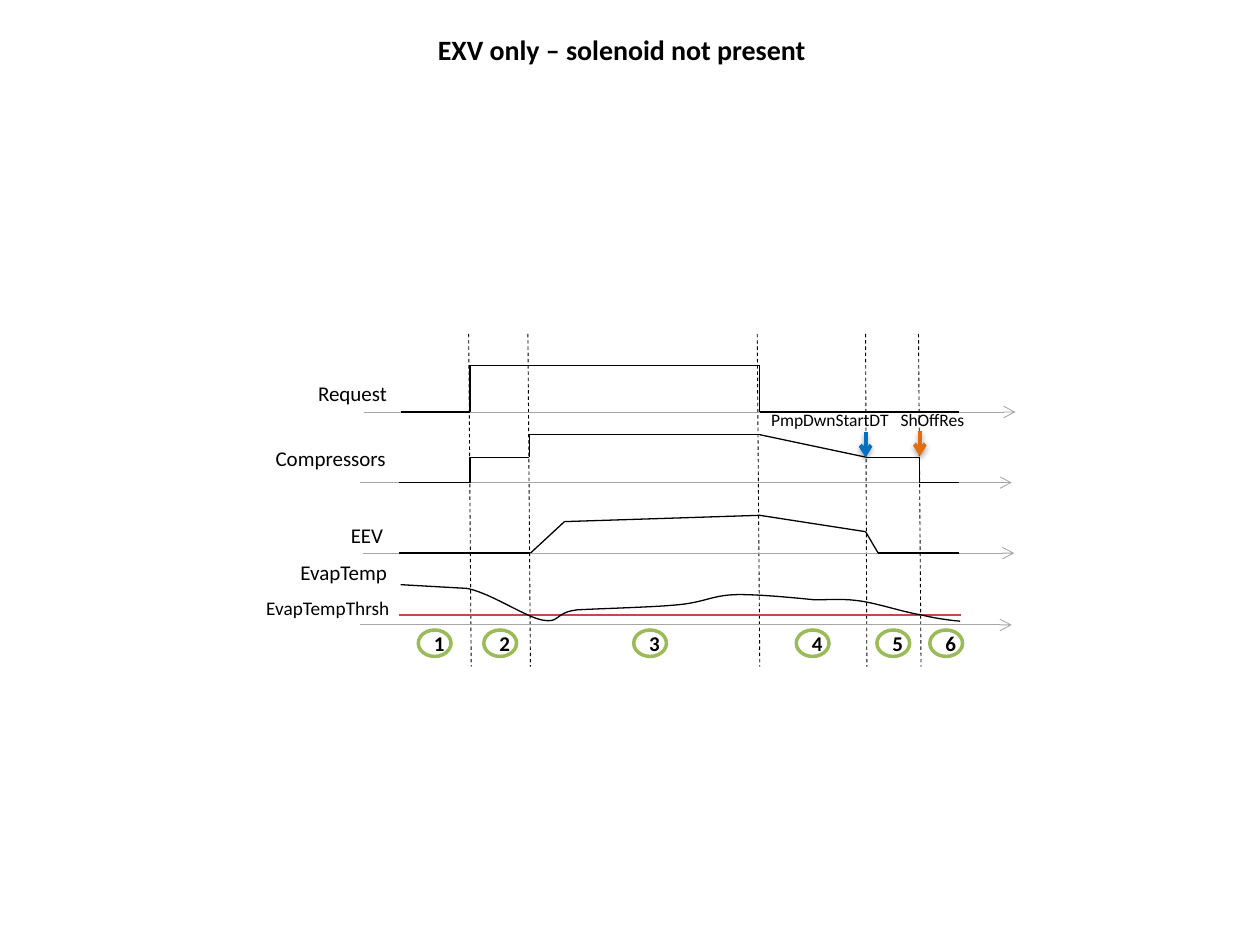
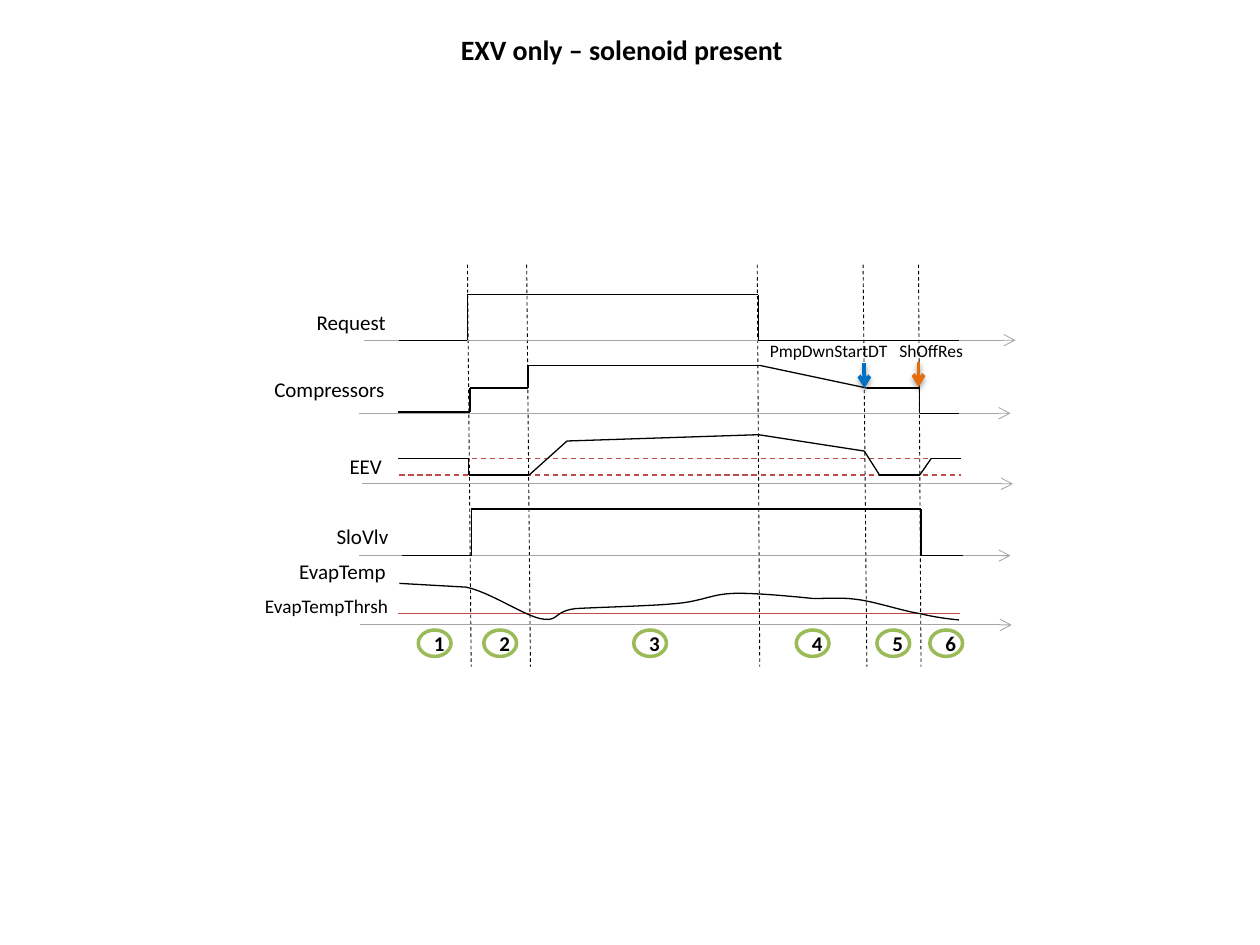
"""Build two timing diagrams of expansion valve control, without and with a solenoid."""
import dataclasses
import itertools

import lxml.etree
import pptx
import pptx.dml.color
import pptx.enum.dml
import pptx.enum.shapes
import pptx.enum.text
import pptx.oxml.ns
import pptx.util

Inches = pptx.util.Inches
Pt = pptx.util.Pt
RGB = pptx.dml.color.RGBColor.from_string
ALIGN = pptx.enum.text.PP_ALIGN
qn = pptx.oxml.ns.qn


@dataclasses.dataclass(frozen=True)
class Theme:
    font: str = "Calibri"
    ink: str = "000000"
    axis: str = "A6A6A6"
    limit: str = "BF4C48"
    badge: str = "9BBB59"
    paper: str = "FFFFFF"
    pump_down: str = "0070C0"
    shut_off: str = "E46C0A"
    title_size: float = 16
    label_size: float = 12
    limit_size: float = 11
    event_size: float = 10
    thin: float = 0.5
    trace: float = 0.75
    ring: float = 2
    arrow: float = 2.25


theme = Theme()


def add_line(s, start, end, color, width, dash=False, arrow=False, shadow=False):
    c = s.shapes.add_connector(pptx.enum.shapes.MSO_CONNECTOR.STRAIGHT,
                               *(Inches(v) for v in (*start, *end)))
    c.line.color.rgb = RGB(color)
    c.line.width = Pt(width)
    if dash:
        c.line.dash_style = pptx.enum.dml.MSO_LINE.DASH
    sppr = c._element.spPr
    if arrow:
        lxml.etree.SubElement(sppr.find(qn("a:ln")), qn("a:tailEnd"), type="arrow")
    effects = lxml.etree.SubElement(sppr, qn("a:effectLst"))
    if shadow:
        outer = lxml.etree.SubElement(effects, qn("a:outerShdw"), blurRad=str(Pt(3.1)),
                                      dist=str(Pt(1.8)), dir="5400000", rotWithShape="0")
        shade = lxml.etree.SubElement(outer, qn("a:srgbClr"), val=theme.ink)
        lxml.etree.SubElement(shade, qn("a:alpha"), val="35000")


def add_run(tf, text, size, align, bold=False):
    p = tf.paragraphs[0]
    p.alignment = align
    r = p.add_run()
    r.text = text
    r.font.name = theme.font
    r.font.size = Pt(size)
    r.font.bold = bold
    r.font.color.rgb = RGB(theme.ink)


divider_feet = [3.74, 4.21, 6.03, 6.88, 7.31]
divider_bottom = 5.29
axis_length = 5.17
badge_lefts = [3.32, 3.84, 5.03, 6.32, 6.96, 7.38]

label_boxes = {
    "Request": (2.34, 0.83, 0.3, theme.label_size),
    "Compressors": (2.07, 1.09, 0.3, theme.label_size),
    "EEV": (2.31, 0.83, 0.3, theme.label_size),
    "SloVlv": (1.94, 1.25, 0.3, theme.label_size),
    "EvapTemp": (1.92, 1.25, 0.3, theme.label_size),
    "EvapTempThrsh": (1.84, 1.35, 0.29, theme.limit_size),
    "PmpDwnStartDT": (5.95, 1.2, 0.28, theme.event_size),
    "ShOffRes": (6.98, 0.77, 0.28, theme.event_size),
}

temp_start = [(3.18, 4.64), (3.71, 4.67)]
temp_curves = [
    [(3.9, 4.71), (4.16, 4.89), (4.3, 4.92)],
    [(4.45, 4.95), (4.4, 4.86), (4.58, 4.84)],
    [(4.76, 4.83), (5.17, 4.82), (5.38, 4.8)],
    [(5.59, 4.78), (5.64, 4.73), (5.82, 4.72)],
    [(6, 4.71), (6.46, 4.76), (6.46, 4.76)],
    [(6.62, 4.76), (6.69, 4.75), (6.83, 4.77)],
    [(6.97, 4.79), (7.18, 4.86), (7.31, 4.88)],
    [(7.44, 4.91), (7.52, 4.92), (7.62, 4.93)],
]
curve_steps = 12
temp_points = list(temp_start)
for b, c, d in temp_curves:
    a = temp_points[-1]
    for t in (i / curve_steps for i in range(1, curve_steps + 1)):
        u = 1 - t
        temp_points.append(tuple(
            u**3 * a[k] + 3 * u * u * t * b[k] + 3 * u * t * t * c[k] + t**3 * d[k]
            for k in (0, 1)))

diagrams = [
    {
        "title": "EXV only – solenoid not present",
        "shift": 0,
        "divider_top": 2.65,
        "divider_heads": [3.72, 4.19, 6.01, 6.87, 7.29],
        "axes": [(2.89, 3.27), (2.86, 3.83), (2.88, 4.39), (2.86, 4.96)],
        "valve_limits": [],
        "traces": [
            [(3.18, 3.27), (3.73, 3.27), (3.73, 2.9), (6.03, 2.9), (6.03, 3.27),
             (7.61, 3.27)],
            [(3.17, 3.83), (3.73, 3.83), (3.73, 3.63), (4.2, 3.63), (4.2, 3.45),
             (6.03, 3.45), (6.88, 3.63), (7.3, 3.63), (7.3, 3.83), (7.61, 3.83)],
            [(3.17, 4.39), (4.21, 4.39), (4.48, 4.14), (6.03, 4.09), (6.87, 4.22),
             (6.97, 4.39), (7.61, 4.39)],
        ],
        "label_tops": {"Request": 2.97, "Compressors": 3.49, "EEV": 4.1,
                       "EvapTemp": 4.39, "EvapTempThrsh": 4.68,
                       "PmpDwnStartDT": 3.2, "ShOffRes": 3.2},
        "event_top": 3.42,
    },
    {
        "title": "EXV only – solenoid present",
        "shift": -0.01,
        "divider_top": 2.1,
        "divider_heads": [3.71, 4.18, 6.01, 6.85, 7.29],
        "axes": [(2.89, 2.7), (2.85, 3.28), (2.87, 3.84), (2.85, 4.41), (2.86, 4.96)],
        "valve_limits": [3.64, 3.77],
        "traces": [
            [(3.17, 2.7), (3.71, 2.7), (3.71, 2.34), (6.02, 2.34), (6.02, 2.7),
             (7.61, 2.7)],
            [(3.16, 3.27), (3.73, 3.27), (3.73, 3.08), (4.19, 3.08), (4.19, 2.9),
             (6.03, 2.9), (6.88, 3.08), (7.3, 3.08), (7.3, 3.28), (7.61, 3.28)],
            [(3.16, 3.64), (3.72, 3.64), (3.72, 3.77), (4.2, 3.77), (4.5, 3.5),
             (6.02, 3.45), (6.86, 3.58), (6.98, 3.77), (7.3, 3.77), (7.39, 3.64),
             (7.63, 3.64)],
            [(3.19, 4.41), (3.74, 4.41), (3.74, 4.04), (7.31, 4.04), (7.31, 4.41),
             (7.64, 4.41)],
        ],
        "label_tops": {"Request": 2.41, "Compressors": 2.94, "EEV": 3.55,
                       "SloVlv": 4.11, "EvapTemp": 4.38, "EvapTempThrsh": 4.67,
                       "PmpDwnStartDT": 2.65, "ShOffRes": 2.65},
        "event_top": 2.87,
    },
]

prs = pptx.Presentation()
prs.slide_width = Inches(10)
prs.slide_height = Inches(7.5)

for diagram in diagrams:
    s = prs.slides.add_slide(prs.slide_layouts[5])
    shift = diagram["shift"]

    title = s.shapes.title
    title.left, title.top, title.width, title.height = map(Inches, (2.84, 0.21, 4.19, 0.37))
    title.text_frame.auto_size = pptx.enum.text.MSO_AUTO_SIZE.NONE
    add_run(title.text_frame, diagram["title"], theme.title_size, ALIGN.CENTER, bold=True)

    for y in diagram["valve_limits"]:
        add_line(s, (3.17, y), (7.63, y), theme.limit, theme.trace, dash=True)
    for head, foot in zip(diagram["divider_heads"], divider_feet):
        add_line(s, (head, diagram["divider_top"]), (foot, divider_bottom),
                 theme.ink, theme.thin, dash=True)
    for x, y in diagram["axes"]:
        add_line(s, (x, y), (x + axis_length, y), theme.axis, theme.thin, arrow=True)
    add_line(s, (3.17 + shift, 4.88 + shift), (7.63 + shift, 4.88 + shift),
             theme.limit, theme.trace)
    for trace in diagram["traces"]:
        for start, end in itertools.pairwise(trace):
            add_line(s, start, end, theme.ink, theme.trace)

    points = [(Inches(x + shift), Inches(y + shift)) for x, y in temp_points]
    builder = s.shapes.build_freeform(*points[0])
    builder.add_line_segments(points[1:], close=False)
    sp = builder.convert_to_shape()
    sp.shadow.inherit = False
    sp.fill.background()
    sp.line.color.rgb = RGB(theme.ink)
    sp.line.width = Pt(theme.trace)

    for text, top in diagram["label_tops"].items():
        left, width, height, size = label_boxes[text]
        sp = s.shapes.add_textbox(*map(Inches, (left + shift, top, width, height)))
        tf = sp.text_frame
        tf.word_wrap = True
        tf.auto_size = pptx.enum.text.MSO_AUTO_SIZE.SHAPE_TO_FIT_TEXT
        add_run(tf, text, size, ALIGN.RIGHT)

    for number, left in enumerate(badge_lefts, 1):
        sp = s.shapes.add_shape(pptx.enum.shapes.MSO_SHAPE.OVAL,
                                *map(Inches, (left, 5, 0.26, 0.21)))
        sp.shadow.inherit = False
        sp.fill.solid()
        sp.fill.fore_color.rgb = RGB(theme.paper)
        sp.line.color.rgb = RGB(theme.badge)
        sp.line.width = Pt(theme.ring)
        add_run(sp.text_frame, str(number), theme.label_size, ALIGN.CENTER, bold=True)

    event_top = diagram["event_top"]
    for x, y, color in ((7.3, event_top, theme.shut_off),
                        (6.87, event_top + 0.01, theme.pump_down)):
        add_line(s, (x + shift, y), (x + shift, y + 0.2), color, theme.arrow,
                 arrow=True, shadow=True)

prs.save("out.pptx")
